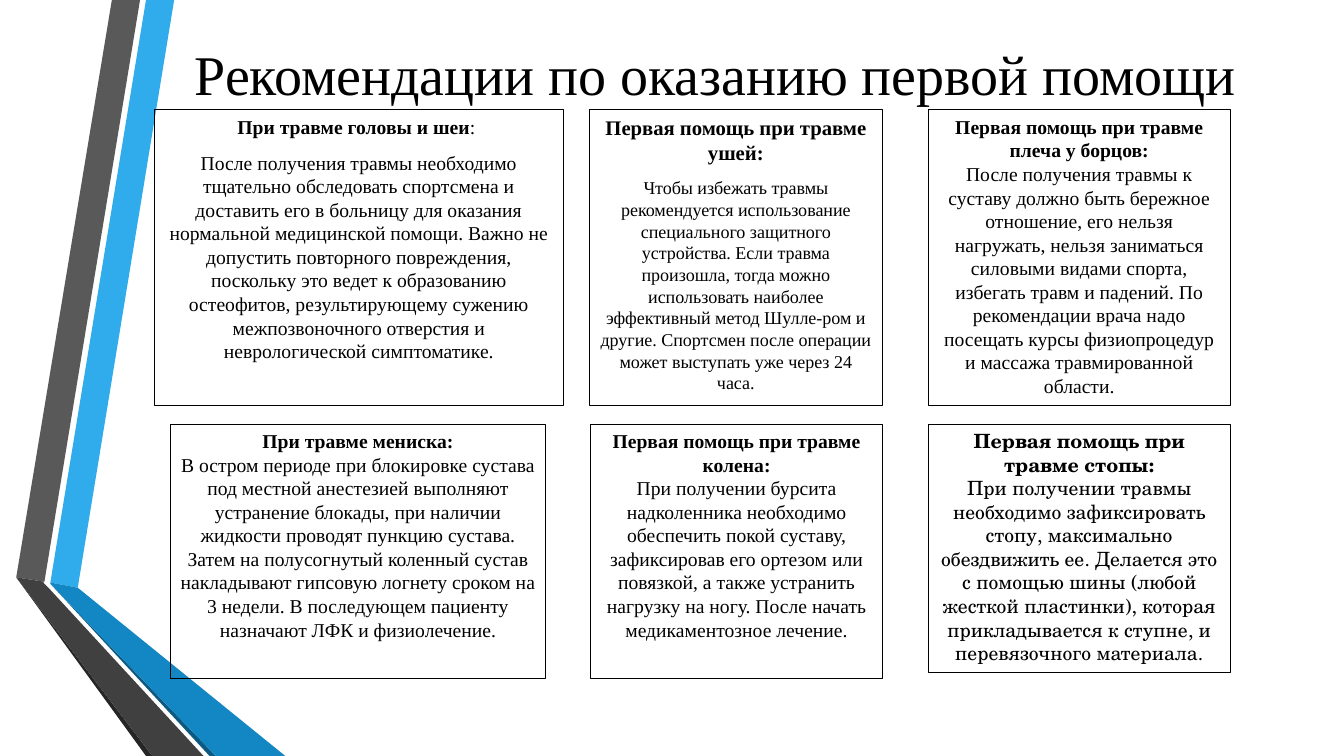
from pptx import Presentation
from pptx.dml.color import RGBColor
from pptx.enum.shapes import MSO_SHAPE
from pptx.enum.text import MSO_ANCHOR, PP_ALIGN
from pptx.util import Cm, Pt

RECT = MSO_SHAPE.RECTANGLE
TOP, MIDDLE = MSO_ANCHOR.TOP, MSO_ANCHOR.MIDDLE
CENTER = PP_ALIGN.CENTER

SERIF, SCHOOL = "Times New Roman", "TeX Gyre Schola"
BLACK = "000000"
UPPER_TOP, LOWER_TOP = 2.77, 10.69
UPPER_HEIGHT, LOWER_HEIGHT = 7.44, 6.4

# Ribbon outlines in hundredths of a centimetre
RIBBONS = [
    ("30ACEC", [(127, 1468), (196, 1481), (439, 0), (368, 0)]),
    ("595959", [(353, 0), (282, 0), (41, 1455), (112, 1466)]),
    ("262626", [(41, 1455), (368, 1905), (384, 1905)]),
    ("0C5A82", [(127, 1471), (528, 1905), (544, 1905)]),
    ("1287C3", [(127, 1471), (544, 1905), (719, 1905), (196, 1481), (127, 1468)]),
    ("404040", [(513, 1905), (122, 1481), (109, 1468), (112, 1466), (41, 1455), (384, 1905)]),
]

# Box (left, top, width, height), heading, colon run, advice, format
ADVICE = [
    ((3.89, UPPER_TOP, 10.31, UPPER_HEIGHT), "При травме головы и шеи", ":\u00a0",
     "После получения травмы необходимо тщательно обследовать спортсмена и доставить его "
     "в больницу для оказания нормальной медицинской помощи. Важно не допустить повторного "
     "повреждения, поскольку это ведет к образованию остеофитов, результирующему сужению "
     "межпозвоночного отверстия и неврологической симптоматике.",
     {"spaced": True}),
    ((14.86, UPPER_TOP, 7.37, UPPER_HEIGHT), "Первая помощь при травме ушей:", "",
     "Чтобы избежать травмы рекомендуется использование специального защитного устройства. "
     "Если травма произошла, тогда можно использовать наиболее эффективный метод Шулле-ром "
     "и другие. Спортсмен после операции может выступать уже через 24 часа.",
     {"spaced": True, "heading_size": 14.8, "body_size": 12.9}),
    ((23.39, UPPER_TOP, 7.62, UPPER_HEIGHT), "Первая помощь при травме плеча у борцов:", "",
     "После получения травмы к суставу должно быть бережное отношение, его нельзя нагружать, "
     "нельзя заниматься силовыми видами спорта, избегать травм и падений. По рекомендации "
     "врача надо посещать курсы физиопроцедур и массажа травмированной области.", {}),
    ((14.88, LOWER_TOP, 7.37, LOWER_HEIGHT), "Первая помощь при травме колена:", "",
     "При получении бурсита надколенника необходимо обеспечить покой суставу, зафиксировав "
     "его ортезом или повязкой, а также устранить нагрузку на ногу. После начать "
     "медикаментозное лечение.", {}),
    ((23.39, LOWER_TOP, 7.62, 6.25), "Первая помощь при травме стопы:", "",
     "При получении травмы необходимо зафиксировать стопу, максимально обездвижить ее. "
     "Делается это с помощью шины (любой жесткой пластинки), которая прикладывается к "
     "ступне, и перевязочного материала.", {"font": SCHOOL}),
    ((4.29, LOWER_TOP, 9.47, LOWER_HEIGHT), "При травме мениска:", "",
     "В остром периоде при блокировке сустава под местной анестезией выполняют устранение "
     "блокады, при наличии жидкости\u00a0проводят пункцию сустава. Затем на полусогнутый "
     "коленный сустав накладывают гипсовую логнету сроком на 3 недели. В последующем "
     "пациенту назначают ЛФК и физиолечение.", {}),
]


def color(hex_code):
    return RGBColor.from_string(hex_code)


class FirstAidSlide:
    def __init__(self, slide):
        self.shapes = slide.shapes

    def ribbon(self, fill, points):
        builder = self.shapes.build_freeform(*points[0], scale=Cm(0.01))
        builder.add_line_segments(points[1:], close=True)
        ribbon = builder.convert_to_shape()
        ribbon.shadow.inherit = False
        ribbon.fill.solid()
        ribbon.fill.fore_color.rgb = color(fill)
        ribbon.line.fill.background()

    def run(self, paragraph, text, font, size, bold=False):
        run = paragraph.add_run()
        run.text = text
        for name, value in {"name": font, "size": Pt(size), "bold": bold}.items():
            setattr(run.font, name, value)
        run.font.color.rgb = color(BLACK)

    def frame(self, holder, anchor):
        frame = holder.text_frame
        frame.word_wrap = True
        frame.vertical_anchor = anchor
        frame.paragraphs[0].alignment = CENTER
        return frame

    def title(self, box, text):
        title = self.shapes.add_textbox(*map(Cm, box))
        self.run(self.frame(title, MIDDLE).paragraphs[0], text, SERIF, 40)

    def advice(self, box, heading, colon, body, font=SERIF, heading_size=14,
               body_size=14, spaced=False):
        """Outlined box with a bold heading above its advice."""
        card = self.shapes.add_shape(RECT, *map(Cm, box))
        card.shadow.inherit = False
        card.fill.background()
        card.line.color.rgb = color(BLACK)
        card.line.width = Pt(0.75)
        frame = self.frame(card, TOP)
        head = frame.paragraphs[0]
        self.run(head, heading, font, heading_size, bold=True)
        if colon:
            self.run(head, colon, font, heading_size)
        details = frame.add_paragraph()
        details.alignment = CENTER
        self.run(details, body, font, body_size)
        if spaced:
            head.space_after = details.space_after = Pt(6)
            details.space_before = Pt(2.8)


def main():
    deck = Presentation()
    deck.slide_width, deck.slide_height = Cm(33.87), Cm(19.05)
    page = FirstAidSlide(deck.slides.add_slide(deck.slide_layouts[6]))
    for fill, points in RIBBONS:
        page.ribbon(fill, points)
    page.title((4.11, 0.81, 27.84, 2.08), "Рекомендации по оказанию первой помощи")
    for box, heading, colon, body, style in ADVICE:
        page.advice(box, heading, colon, body, **style)
    deck.save("out.pptx")


if __name__ == "__main__":
    main()
